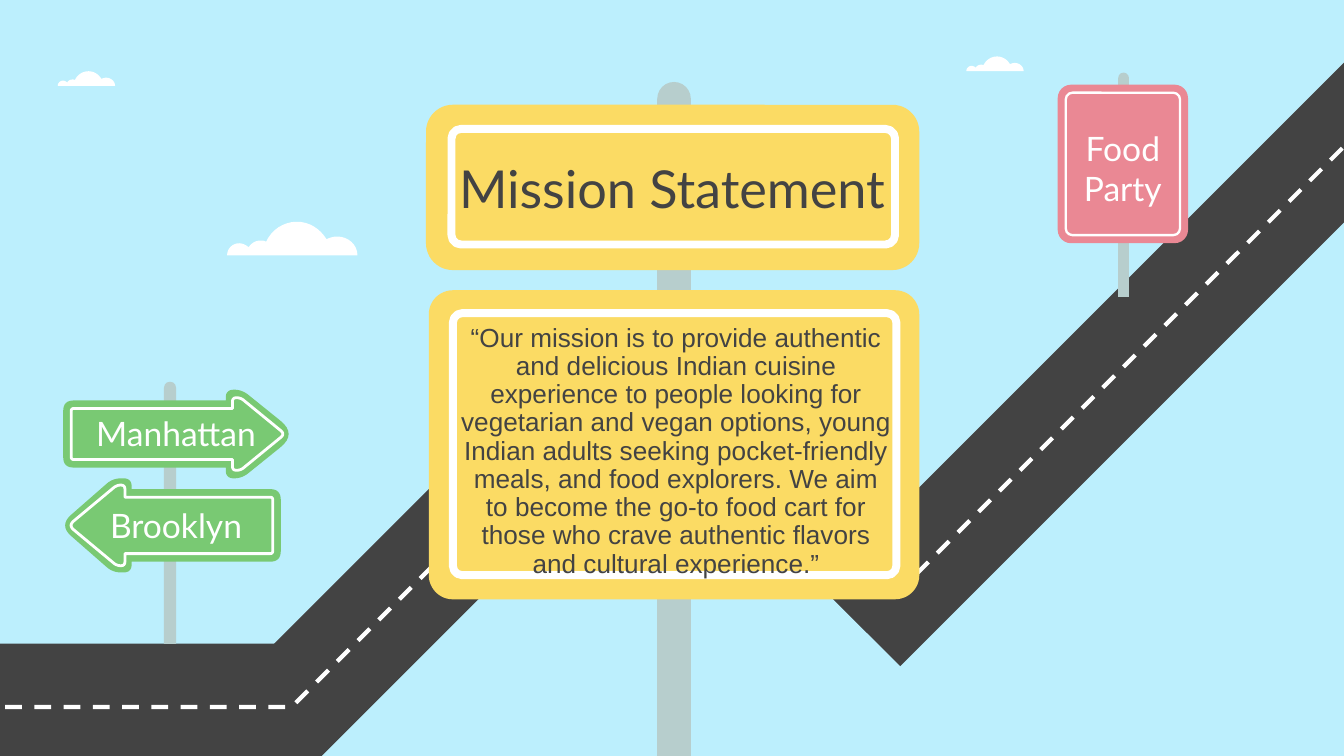
import math
from dataclasses import dataclass

from lxml import etree
from pptx import Presentation
from pptx.dml.color import RGBColor
from pptx.enum import dml, shapes, text
from pptx.oxml.ns import qn
from pptx.util import Inches, Pt

SKY = RGBColor(0xBC, 0xEF, 0xFD)
ASPHALT = RGBColor(0x43, 0x43, 0x43)
WHITE = RGBColor(0xFF, 0xFF, 0xFF)
YELLOW = RGBColor(0xFB, 0xDB, 0x64)
GREEN = RGBColor(0x79, 0xC9, 0x73)
PINK = RGBColor(0xEA, 0x88, 0x94)
STEEL = RGBColor(0xB7, 0xCE, 0xCD)

Point = tuple[float, float]
CURVE_STEPS = 8


@dataclass
class Box:
    left: float
    top: float
    width: float
    height: float

    def lengths(self) -> list[int]:
        return [Inches(v) for v in (self.left, self.top, self.width, self.height)]


@dataclass
class Board:
    panel: Box
    radius: float
    frame: Box
    frame_radius: float
    frame_pt: float
    color: RGBColor


@dataclass
class Arrow:
    """Arrow symmetrical about its axis; a tip left of the tail points left."""
    tail: float
    neck: float
    shoulder: float
    tip: float
    axis: float
    half_body: float
    half_head: float
    tail_cut: float
    head_cut: float
    tip_cut: float


@dataclass
class Label:
    words: str
    box: Box
    size: int
    color: RGBColor
    font: str = "Lato"
    spacing: float = 1.0
    anchor: text.MSO_ANCHOR = text.MSO_ANCHOR.TOP


def paint(shape, fill: RGBColor | None, line: RGBColor | None = None, width: float = 0) -> None:
    shape.shadow.inherit = False
    if fill is None:
        shape.fill.background()
    else:
        shape.fill.solid()
        shape.fill.fore_color.rgb = fill
    if line is None:
        shape.line.fill.background()
    else:
        shape.line.color.rgb = line
        shape.line.width = Pt(width)


def outline(slide, points: list[Point], closed: bool = True):
    start, *rest = [(Inches(x), Inches(y)) for x, y in points]
    builder = slide.shapes.build_freeform(*start, scale=1.0)
    builder.add_line_segments(rest, close=closed)
    return builder.convert_to_shape()


def bezier(*controls: Point) -> list[Point]:
    n = len(controls) - 1
    curve = []
    for step in range(CURVE_STEPS + 1):
        t = step / CURVE_STEPS
        weights = [math.comb(n, i) * t**i * (1 - t)**(n - i) for i in range(n + 1)]
        curve.append(tuple(sum(w * c[k] for w, c in zip(weights, controls)) for k in (0, 1)))
    return curve


def toward(a: Point, b: Point, distance: float) -> Point:
    share = distance / math.dist(a, b)
    return a[0] + (b[0] - a[0]) * share, a[1] + (b[1] - a[1]) * share


def draw_arrow(slide, arrow: Arrow, fill: RGBColor | None, line: RGBColor | None = None) -> None:
    upper = [(arrow.tail, arrow.half_body, arrow.tail_cut), (arrow.neck, arrow.half_body, 0),
             (arrow.neck, arrow.half_head, arrow.head_cut),
             (arrow.shoulder, arrow.half_head, arrow.head_cut)]
    corners = ([(x, arrow.axis - dy, cut) for x, dy, cut in upper]
               + [(arrow.tip, arrow.axis, arrow.tip_cut)]
               + [(x, arrow.axis + dy, cut) for x, dy, cut in reversed(upper)])
    points = []
    for i, (x, y, cut) in enumerate(corners):
        before, after = corners[i - 1][:2], corners[(i + 1) % len(corners)][:2]
        here = (x, y)
        if cut:
            points += bezier(toward(here, before, cut), here, toward(here, after, cut))
        else:
            points.append(here)
    paint(outline(slide, points), fill, line, 1.5)


def draw_cloud(slide, left: float, top: float, scale: float) -> None:
    points = []
    start = CLOUD[-1][-1]
    for piece in CLOUD:
        points += bezier(start, *piece)
        start = piece[-1]
    paint(outline(slide, [(left + x * scale, top + y * scale) for x, y in points]), WHITE)


def draw_post(slide, box: Box) -> None:
    post = slide.shapes.add_shape(shapes.MSO_SHAPE.ROUND_2_SAME_RECTANGLE, *box.lengths())
    post.adjustments[0] = 0.5
    paint(post, STEEL)


def draw_rounded(slide, box: Box, radius: float):
    shape = slide.shapes.add_shape(shapes.MSO_SHAPE.ROUNDED_RECTANGLE, *box.lengths())
    shape.adjustments[0] = radius / min(box.width, box.height)
    return shape


def draw_board(slide, board: Board) -> None:
    paint(draw_rounded(slide, board.panel, board.radius), board.color)
    paint(draw_rounded(slide, board.frame, board.frame_radius), None, WHITE, board.frame_pt)


def draw_label(slide, label: Label) -> None:
    frame = slide.shapes.add_textbox(*label.box.lengths()).text_frame
    frame.word_wrap = True
    frame.vertical_anchor = label.anchor
    frame.margin_left = frame.margin_right = frame.margin_top = frame.margin_bottom = Inches(0.1)
    frame.text = label.words
    paragraph = frame.paragraphs[0]
    paragraph.alignment = text.PP_ALIGN.CENTER
    paragraph.line_spacing = label.spacing
    font = paragraph.runs[0].font
    font.name, font.size, font.color.rgb = label.font, Pt(label.size), label.color


# Cloud outline as Bezier pieces, each starting where the one before ends
CLOUD = [
    [(0.42, 0), (0.33, 0.06), (0.29, 0.15)], [(0.28, 0.14), (0.26, 0.14), (0.25, 0.14)],
    [(0.21, 0.14), (0.18, 0.16), (0.16, 0.19)], [(0.14, 0.17), (0.11, 0.16), (0.09, 0.16)],
    [(0.04, 0.16), (0, 0.2), (0, 0.25)], [(0.97, 0.25)],
    [(0.97, 0.17), (0.9, 0.11), (0.82, 0.11)], [(0.79, 0.11), (0.76, 0.12), (0.74, 0.13)],
    [(0.69, 0.05), (0.61, 0), (0.52, 0)],
]
CLOUD_PLACES = [(1.69, 1.65, 1), (0.43, 0.53, 0.44), (7.19, 0.42, 0.44)]

ROAD = [(Box(-0.14, 4.79, 2.52, 0.84), 0), (Box(1.54, 3.58, 3.77, 0.84), 315),
        (Box(4.71, 3.15, 2.39, 0.84), 45), (Box(5.56, 2.21, 5.74, 0.84), 135)]
CENTER_LINE = [(-0.18, 5.26), (2.17, 5.26), (4.86, 2.57), (6.69, 4.4), (10.16, 0.93), (10.27, 0.74)]

MAIN_POST = Box(4.89, 0.61, 0.25, 5.12)
BOROUGH_POST = Box(1.22, 2.84, 0.09, 1.95)
PARTY_POST = Box(8.32, 0.54, 0.08, 1.67)

TITLE_BOARD = Board(Box(3.17, 0.78, 3.67, 1.23), 0.2, Box(3.36, 0.96, 3.3, 0.86), 0.07, 4.25, YELLOW)
MISSION_BOARD = Board(Box(3.19, 2.16, 3.65, 2.3), 0.18, Box(3.37, 2.33, 3.3, 1.95), 0.07, 4.25, YELLOW)
PARTY_BOARD = Board(Box(7.87, 0.63, 0.97, 1.18), 0.1, Box(7.93, 0.69, 0.85, 1.06), 0.05, 1.25, PINK)

# Each borough sign: green body, then white inner line
BOROUGH_SIGNS = [
    (Arrow(0.47, 1.68, 1.8, 2.21, 3.23, 0.25, 0.33, 0.08, 0.06, 0.16),
     Arrow(0.53, 1.73, 1.79, 2.12, 3.23, 0.19, 0.27, 0.02, 0.03, 0.04)),
    (Arrow(2.09, 0.98, 0.84, 0.44, 3.91, 0.27, 0.35, 0.08, 0.06, 0.12),
     Arrow(2.03, 0.93, 0.87, 0.51, 3.91, 0.21, 0.3, 0.02, 0.03, 0.05)),
]

LABELS = [
    Label("Manhattan", Box(0.45, 2.97, 1.72, 0.63), 18, WHITE),
    Label("Brooklyn", Box(0.54, 3.66, 1.54, 0.63), 18, WHITE),
    Label("Food Party", Box(7.94, 0.85, 0.83, 0.63), 18, WHITE),
    Label("Mission Statement", Box(3.26, 1.06, 3.48, 0.63), 28, ASPHALT),
    Label("“Our mission is to provide authentic and delicious Indian cuisine experience to people "
          "looking for vegetarian and vegan options, young Indian adults seeking pocket-friendly "
          "meals, and food explorers. We aim to become the go-to food cart for those who crave "
          "authentic flavors and cultural experience.”",
          Box(3.32, 2.7, 3.42, 1.32), 14, ASPHALT, "Arial", 0.9, text.MSO_ANCHOR.MIDDLE),
]


def main() -> None:
    deck = Presentation()
    deck.slide_width = Inches(10)
    deck.slide_height = Inches(10) * 9 // 16
    slide = deck.slides.add_slide(deck.slide_layouts[6])
    slide.background.fill.solid()
    slide.background.fill.fore_color.rgb = SKY

    # Road
    for box, angle in ROAD:
        stretch = slide.shapes.add_shape(shapes.MSO_SHAPE.RECTANGLE, *box.lengths())
        stretch.rotation = angle
        paint(stretch, ASPHALT)
    center_line = outline(slide, CENTER_LINE, closed=False)
    paint(center_line, None, WHITE, 2.25)
    center_line.line.dash_style = dml.MSO_LINE.DASH
    etree.SubElement(center_line.line._ln, qn("a:round"))

    # Sky
    for place in CLOUD_PLACES:
        draw_cloud(slide, *place)

    # Signs
    draw_post(slide, MAIN_POST)
    draw_board(slide, TITLE_BOARD)
    draw_board(slide, MISSION_BOARD)
    draw_post(slide, BOROUGH_POST)
    for body, inner_line in BOROUGH_SIGNS:
        draw_arrow(slide, body, GREEN)
        draw_arrow(slide, inner_line, None, WHITE)
    draw_post(slide, PARTY_POST)
    draw_board(slide, PARTY_BOARD)

    # Wording
    for label in LABELS:
        draw_label(slide, label)
    deck.save("out.pptx")


if __name__ == "__main__":
    main()
